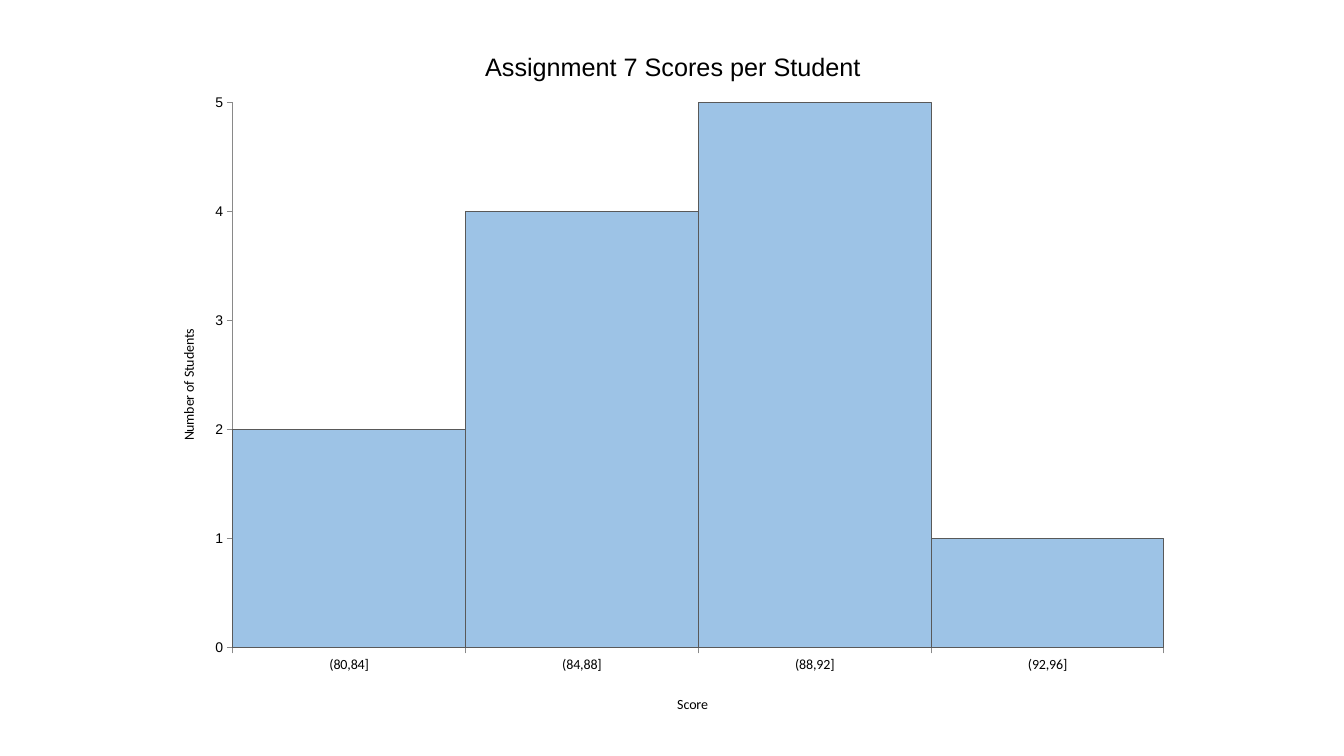
import pptx
import pptx.chart.data
import pptx.dml.color
import pptx.enum.chart
import pptx.oxml
import pptx.oxml.ns
import pptx.util

COLORS = {"bar": "9DC3E6", "outline": "595959", "axis": "898989", "text": "000000"}
SLIDE_WIDTH, SLIDE_HEIGHT = 13.33, 7.5
SCORE_COUNTS = {"(80,84]": 2, "(84,88]": 4, "(88,92]": 5, "(92,96]": 1}


def color(name):
    return pptx.dml.color.RGBColor.from_string(COLORS[name])


def style_font(font, size, face):
    font.size, font.name, font.bold = pptx.util.Pt(size), face, False
    font.color.rgb = color("text")


def style_line(line, name):
    line.color.rgb = color(name)
    line.width = pptx.util.Pt(0.75)


def set_layout(element, index, **shares):
    """Place a chart part by shares of the chart's width and height."""
    for old in element.findall(pptx.oxml.ns.qn("c:layout")):
        element.remove(old)
    target = '<c:layoutTarget val="inner"/>' if "w" in shares else ""
    modes = "".join(f'<c:{key}Mode val="edge"/>' for key in ("x", "y"))
    values = "".join(f'<c:{key} val="{share}"/>' for key, share in shares.items())
    element.insert(index, pptx.oxml.parse_xml(
        f'<c:layout {pptx.oxml.ns.nsdecls("c")}><c:manualLayout>'
        f"{target}{modes}{values}</c:manualLayout></c:layout>"))


def set_title(title, text, size, face, x, y):
    title.text_frame.text = text
    style_font(title.text_frame.paragraphs[0].runs[0].font, size, face)
    set_layout(title._element, 1, x=x, y=y)


def style_axis(axis, label_face, title, x, y):
    axis.has_major_gridlines = False
    axis.major_tick_mark = pptx.enum.chart.XL_TICK_MARK.OUTSIDE
    axis.minor_tick_mark = pptx.enum.chart.XL_TICK_MARK.NONE
    style_line(axis.format.line, "axis")
    style_font(axis.tick_labels.font, 10, label_face)
    set_title(axis.axis_title, title, 10, "Calibri", x, y)


def add_histogram(page, left, top, width, height):
    data = pptx.chart.data.CategoryChartData()
    data.categories = list(SCORE_COUNTS)
    data.add_series("Series 1", list(SCORE_COUNTS.values()))
    chart = page.shapes.add_chart(
        pptx.enum.chart.XL_CHART_TYPE.COLUMN_CLUSTERED,
        left, top, width, height, data).chart
    chart.has_legend = False
    style_font(chart.font, 10, "Arial")
    set_title(chart.chart_title, "Assignment 7 Scores per Student", 18, "Arial", 0.317, 0.04)

    # Touching bars
    plot = chart.plots[0]
    plot.gap_width, plot.vary_by_categories = 0, False
    bars = plot.series[0]
    bars.format.fill.solid()
    bars.format.fill.fore_color.rgb = color("bar")
    style_line(bars.format.line, "outline")
    set_layout(chart._chartSpace.chart.plotArea, 0, x=0.077, y=0.12, w=0.902, h=0.767)

    # Axes
    style_axis(chart.category_axis, "Calibri", "Score", 0.505, 0.95)
    counts = chart.value_axis
    style_axis(counts, "Arial", "Number of Students", 0.023, 0.435)
    counts.minimum_scale, counts.maximum_scale, counts.major_unit = 0, 5, 1
    body = counts.axis_title.text_frame._txBody.bodyPr
    body.set("rot", "-5400000")
    body.set("vert", "horz")


def main():
    deck = pptx.Presentation()
    deck.slide_width = pptx.util.Inches(SLIDE_WIDTH)
    deck.slide_height = pptx.util.Inches(SLIDE_HEIGHT)
    page = deck.slides.add_slide(deck.slide_layouts[6])
    add_histogram(page, *map(pptx.util.Inches, (1.52, 0.17, 10.24, 7.05)))
    deck.save("out.pptx")


if __name__ == "__main__":
    main()
